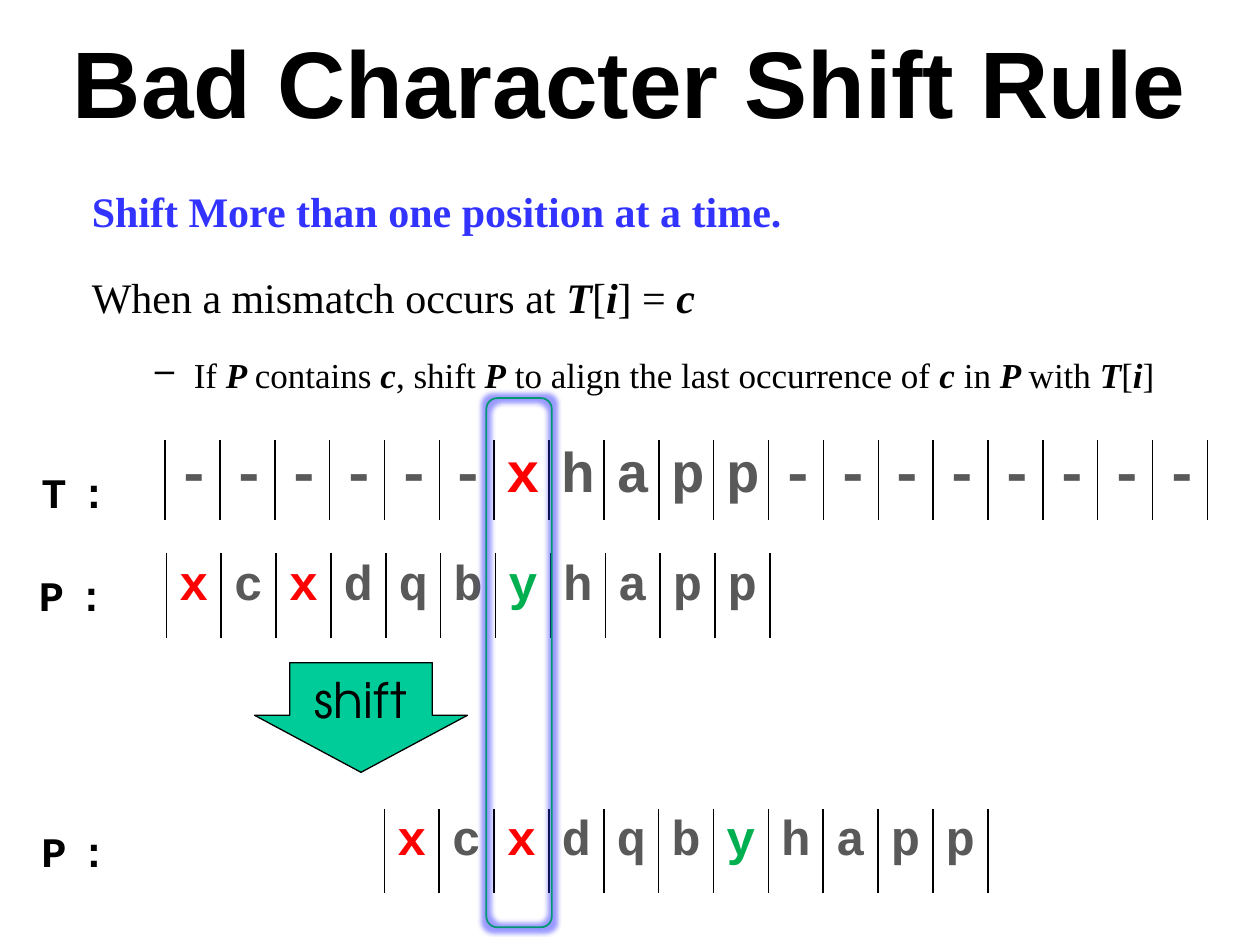
"""Build the slide that explains the bad character shift rule."""
from lxml.etree import SubElement
from pptx import Presentation
from pptx.dml.color import RGBColor
from pptx.enum.shapes import MSO_SHAPE
from pptx.enum.text import MSO_ANCHOR, PP_ALIGN
from pptx.oxml.ns import qn
from pptx.util import Inches, Pt

BLACK = RGBColor(0x00, 0x00, 0x00)
BLUE = RGBColor(0x33, 0x33, 0xFF)
GRAY = RGBColor(0x59, 0x59, 0x59)
RED = RGBColor(0xFF, 0x00, 0x00)
GREEN = RGBColor(0x00, 0xB0, 0x50)
TEAL = RGBColor(0x00, 0xCC, 0x99)
DARK_TEAL = RGBColor(0x00, 0x97, 0x71)

TITLE = "Bad Character Shift Rule"
HEADLINE = "Shift More than one position at a time."
MISMATCH = ["When a mismatch occurs at ", "T", "[", "i", "] =", " c"]
RULE = ["If ", "P ", "contains ", "c", ", shift ", "P", " to align the last occurrence of ",
        "c ", "in ", "P ", "with ", "T", "[", "i", "]"]
VARIABLES = {"T", "i", "c", "P"}
TEXT, PATTERN = "------xhapp--------", "xcxdqbyhapp"
LETTER_COLORS = {"x": RED, "y": GREEN}
STRINGS = [
    ("T:", (0.23, 3.65), TEXT, (1.31, 3.49), 0.63, 32),
    ("P:", (0.21, 4.47), PATTERN, (1.32, 4.39), 0.67, 28),
    ("P:", (0.23, 6.5), PATTERN, (3.05, 6.42), 0.67, 28),
]
CELL_WIDTH = 8.28 / len(TEXT)


def style(run, font, size, color, bold=False, italic=False):
    run.font.name, run.font.size = font, Pt(size)
    run.font.bold, run.font.italic = bold, italic
    run.font.color.rgb = color


def add_box(slide, *place):
    frame = slide.shapes.add_textbox(*map(Inches, place)).text_frame
    frame.word_wrap = True
    return frame


def add_title(slide):
    frame = add_box(slide, 0.4, 0.14, 9.19, 1)
    frame.vertical_anchor = MSO_ANCHOR.MIDDLE
    frame.text = TITLE
    frame.paragraphs[0].alignment = PP_ALIGN.CENTER
    style(frame.paragraphs[0].runs[0], "Arial", 54, BLACK, True)


def add_body(slide):
    frame = add_box(slide, 0.63, 1.22, 9.19, 2.09)
    lines = [([HEADLINE], 24, 0.38, -0.38), (MISMATCH, 24, 0.38, -0.38), (RULE, 20, 0.81, -0.31)]
    for index, (parts, size, margin, indent) in enumerate(lines):
        paragraph = frame.add_paragraph() if index else frame.paragraphs[0]
        paragraph.line_spacing = 1.5
        if index:
            paragraph.space_before = Pt(6)
        properties = paragraph._p.get_or_add_pPr()
        properties.set("marL", str(Inches(margin)))
        properties.set("indent", str(Inches(indent)))
        if parts is RULE:
            SubElement(properties, qn("a:buChar")).set("char", "–")
        for part in parts:
            run = paragraph.add_run()
            run.text = part
            variable = part.strip() in VARIABLES
            headline = part == HEADLINE
            style(run, "Times New Roman", size, BLUE if headline else BLACK,
                  variable or headline, variable)


def set_borders(cell):
    properties = cell._tc.get_or_add_tcPr()
    for side in "LRTB":
        line = SubElement(properties, qn(f"a:ln{side}"), w=str(Pt(1)))
        if side in "LR":
            fill = SubElement(line, qn("a:solidFill"))
            SubElement(fill, qn("a:srgbClr"), val=str(BLACK))
        else:
            SubElement(line, qn("a:noFill"))
    cell.fill.background()


def add_string(slide, label, label_place, letters, place, height, size):
    frame = add_box(slide, *label_place, 0.84, 0.5)
    frame.text = label
    name = frame.paragraphs[0].runs[0]
    style(name, "Courier New", 24, BLACK, True)
    name._r.get_or_add_rPr().set("spc", "850")

    width = CELL_WIDTH * len(letters)
    table = slide.shapes.add_table(1, len(letters), *map(Inches, (*place, width, height))).table
    table.first_row = table.horz_banding = False
    for column, cell, letter in zip(table.columns, table.rows[0].cells, letters):
        column.width = Inches(CELL_WIDTH)
        cell.text = letter
        paragraph = cell.text_frame.paragraphs[0]
        paragraph.alignment = PP_ALIGN.CENTER
        style(paragraph.runs[0], "Courier New", size, LETTER_COLORS.get(letter, GRAY), True)
        set_borders(cell)


def add_shift_arrow(slide):
    arrow = slide.shapes.add_shape(MSO_SHAPE.DOWN_ARROW, *map(Inches, (2.02, 5.26, 1.69, 0.87)))
    arrow.adjustments[0], arrow.adjustments[1] = 0.67, 0.52
    arrow.shadow.inherit = False
    arrow.fill.solid()
    arrow.fill.fore_color.rgb = TEAL
    arrow.line.color.rgb = BLACK
    arrow.line.width = Pt(0.75)
    frame = arrow.text_frame
    frame.vertical_anchor = MSO_ANCHOR.MIDDLE
    frame.text = "shift"
    frame.paragraphs[0].alignment = PP_ALIGN.CENTER
    style(frame.paragraphs[0].runs[0], "TeX Gyre Adventor", 28, BLACK)


def add_highlight(slide):
    highlight = slide.shapes.add_shape(MSO_SHAPE.ROUNDED_RECTANGLE,
                                       *map(Inches, (3.86, 3.16, 0.52, 4.2)))
    highlight.fill.background()
    highlight.line.color.rgb = DARK_TEAL
    highlight.line.width = Pt(1)
    highlight.shadow.inherit = False
    effects = highlight._element.spPr.find(qn("a:effectLst"))
    glow = SubElement(effects, qn("a:glow"), rad=str(Pt(5)))
    color = SubElement(glow, qn("a:srgbClr"), val=str(BLUE))
    SubElement(color, qn("a:alpha"), val="50000")


def main():
    presentation = Presentation()
    presentation.slide_width, presentation.slide_height = Inches(10), Inches(7.5)
    slide = presentation.slides.add_slide(presentation.slide_layouts[6])
    add_title(slide)
    add_body(slide)
    add_shift_arrow(slide)
    for string in STRINGS:
        add_string(slide, *string)
    add_highlight(slide)
    presentation.save("out.pptx")


if __name__ == "__main__":
    main()
